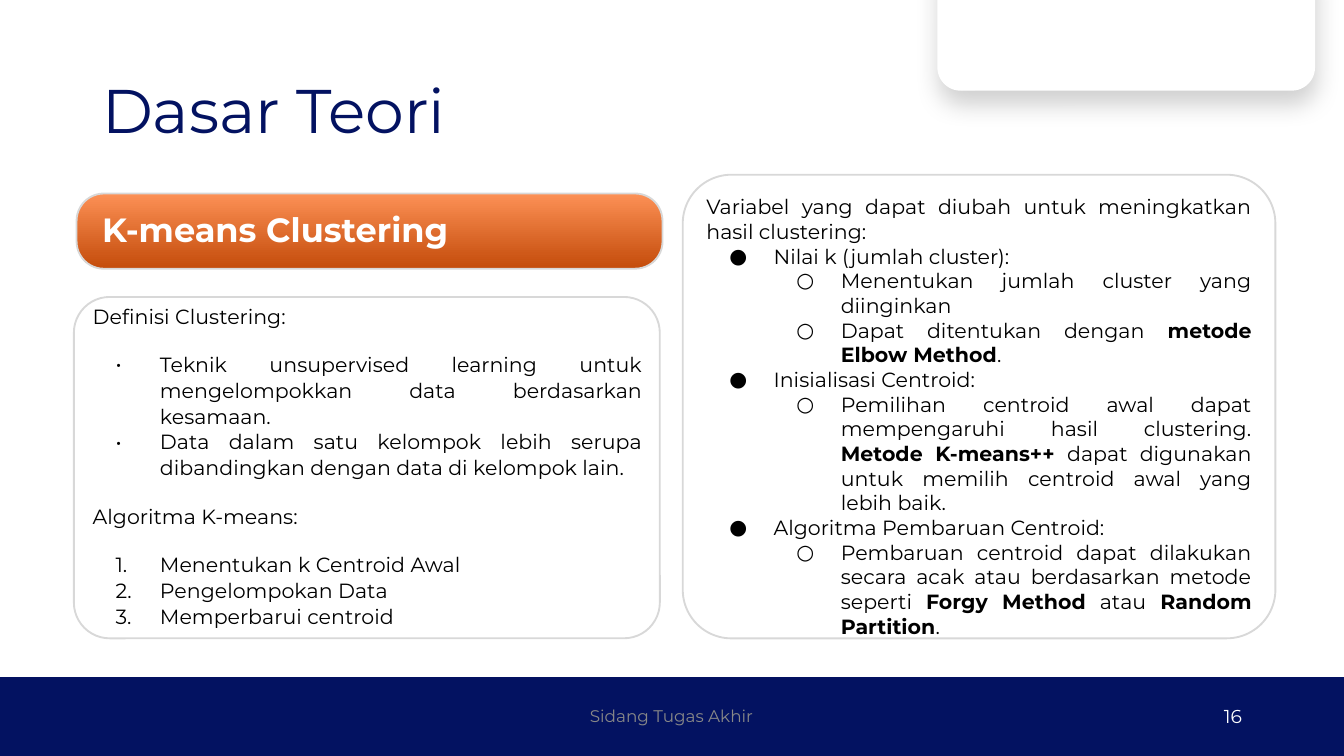
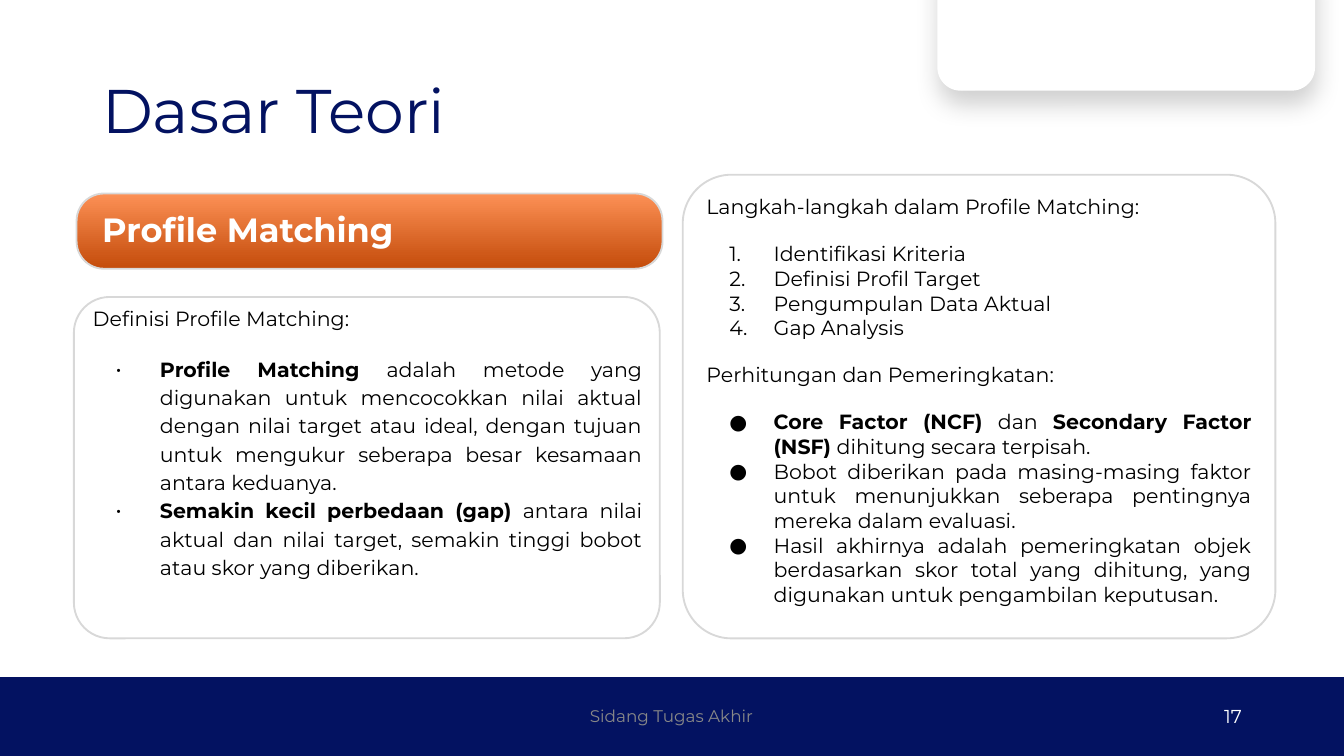
from lxml import etree
from pptx import Presentation
from pptx.dml.color import RGBColor
from pptx.enum import shapes, text
from pptx.oxml import ns
from pptx.util import Inches, Pt

NAVY = RGBColor(0x03, 0x12, 0x61)
WHITE = RGBColor(0xFF, 0xFF, 0xFF)
BLACK = RGBColor(0, 0, 0)
GREY = RGBColor(0x88, 0x88, 0x88)
OUTLINE = RGBColor(0xD8, 0xD8, 0xD8)
ORANGE_TOP = RGBColor(0xFC, 0x90, 0x55)
ORANGE_BOTTOM = RGBColor(0xC4, 0x4C, 0x0B)
FONT = "Montserrat"
ALIGN = text.PP_ALIGN
MIDDLE = text.MSO_ANCHOR.MIDDLE
ROUNDED = shapes.MSO_SHAPE.ROUNDED_RECTANGLE

# Each content line is (kind, text, space before); **...** marks bold
PLAIN, DOT, BIG_DOT, RING, NUMBER = "", "•", "●", "○", "1."

CLUSTERING_DEFINITION = [
    (PLAIN, "Definisi Clustering:", 0),
    (DOT, "Teknik unsupervised learning untuk mengelompokkan data berdasarkan kesamaan.", 12),
    (DOT, "Data dalam satu kelompok lebih serupa dibandingkan dengan data di kelompok lain.", 0),
    (PLAIN, "Algoritma K-means: ", 12),
    (NUMBER, "Menentukan k Centroid Awal", 12),
    (NUMBER, "Pengelompokan Data", 0),
    (NUMBER, "Memperbarui centroid", 0),
]
CLUSTERING_VARIABLES = [
    (PLAIN, "Variabel yang dapat diubah untuk meningkatkan hasil clustering:", 0),
    (BIG_DOT, "Nilai k (jumlah cluster):", 0),
    (RING, "Menentukan jumlah cluster yang diinginkan", 0),
    (RING, "Dapat ditentukan dengan **metode Elbow Method**.", 0),
    (BIG_DOT, "Inisialisasi Centroid:", 0),
    (RING, "Pemilihan centroid awal dapat mempengaruhi hasil clustering. "
           "**Metode K-means++** dapat digunakan untuk memilih centroid awal yang lebih baik.", 0),
    (BIG_DOT, "Algoritma Pembaruan Centroid:", 0),
    (RING, "Pembaruan centroid dapat dilakukan secara acak atau berdasarkan metode "
           "seperti **Forgy Method** atau **Random Partition**.", 0),
]
MATCHING_DEFINITION = [
    (PLAIN, "Definisi Profile Matching:", 0),
    (DOT, "**Profile Matching** adalah metode yang digunakan untuk mencocokkan nilai aktual "
          "dengan nilai target atau ideal, dengan tujuan untuk mengukur seberapa besar "
          "kesamaan antara keduanya.", 12),
    (DOT, "**Semakin kecil perbedaan (gap)** antara nilai aktual dan nilai target, "
          "semakin tinggi bobot atau skor yang diberikan.", 0),
]
MATCHING_STEPS = [
    (PLAIN, "Langkah-langkah dalam Profile Matching:", 0),
    (NUMBER, "Identifikasi Kriteria", 12),
    (NUMBER, "Definisi Profil Target", 0),
    (NUMBER, "Pengumpulan Data Aktual", 0),
    (NUMBER, "Gap Analysis", 0),
    (PLAIN, "Perhitungan dan Pemeringkatan:", 12),
    (BIG_DOT, "**Core Factor (NCF)** dan **Secondary Factor (NSF)** dihitung secara terpisah.", 12),
    (BIG_DOT, "Bobot diberikan pada masing-masing faktor untuk menunjukkan seberapa "
              "pentingnya mereka dalam evaluasi.", 0),
    (BIG_DOT, "Hasil akhirnya adalah pemeringkatan objek berdasarkan skor total yang "
              "dihitung, yang digunakan untuk pengambilan keputusan.", 0),
]


def add_box(slide, kind, place, line_color, line_width, radius=None):
    shape = slide.shapes.add_shape(kind, *map(Inches, place))
    shape.shadow.inherit = False
    shape.fill.solid()
    shape.fill.fore_color.rgb = WHITE
    shape.line.color.rgb = line_color
    shape.line.width = Pt(line_width)
    if radius is not None:
        shape.adjustments[0] = radius
    return shape


def add_panel(slide, place, radius=0.105):
    return add_box(slide, ROUNDED, place, OUTLINE, 1, radius)


def add_drop_shadow(shape):
    effects = shape.element.spPr.find(ns.qn("a:effectLst"))
    shadow = etree.SubElement(effects, ns.qn("a:outerShdw"), blurRad=str(Pt(13.5)),
                              dist=str(Pt(7.5)), dir=str(84 * 60000),
                              algn="tl", rotWithShape="0")
    color = etree.SubElement(shadow, ns.qn("a:srgbClr"), val=str(BLACK))
    etree.SubElement(color, ns.qn("a:alpha"), val="19000")


def prepare_frame(frame, anchor):
    frame.word_wrap = True
    frame.vertical_anchor = anchor
    frame.margin_left = frame.margin_right = Inches(0.07)
    frame.margin_top = frame.margin_bottom = Inches(0.04)


def set_font(paragraph, size, color):
    paragraph.font.name = FONT
    paragraph.font.size = Pt(size)
    paragraph.font.color.rgb = color


def add_label(slide, place, words, size, color, align=ALIGN.LEFT, spacing=None, bold=False):
    frame = slide.shapes.add_textbox(*map(Inches, place)).text_frame
    prepare_frame(frame, MIDDLE)
    paragraph = frame.paragraphs[0]
    paragraph.text = words
    paragraph.alignment = align
    paragraph.line_spacing = spacing
    set_font(paragraph, size, color)
    paragraph.font.bold = bold


def add_bullet(paragraph, kind):
    properties = paragraph._p.get_or_add_pPr()
    properties.set("marL", str(Inches(1 if kind == RING else 0.5)))
    properties.set("indent", str(Inches(-0.33)))
    color = etree.SubElement(properties, ns.qn("a:buClr"))
    etree.SubElement(color, ns.qn("a:srgbClr"), val=str(BLACK))
    etree.SubElement(properties, ns.qn("a:buSzPts"), val="1100")
    etree.SubElement(properties, ns.qn("a:buFont"), typeface=FONT)
    if kind == NUMBER:
        etree.SubElement(properties, ns.qn("a:buAutoNum"), type="arabicPeriod")
    else:
        etree.SubElement(properties, ns.qn("a:buChar"), char=kind)


def fill_text(frame, lines, spacing=None):
    prepare_frame(frame, text.MSO_ANCHOR.TOP)
    for index, (kind, words, space_before) in enumerate(lines):
        paragraph = frame.add_paragraph() if index else frame.paragraphs[0]
        paragraph.alignment = ALIGN.JUSTIFY
        paragraph.level = 1 if kind == RING else 0
        paragraph.line_spacing = spacing
        paragraph.space_before = Pt(space_before)
        if kind:
            add_bullet(paragraph, kind)
        set_font(paragraph, 11, BLACK)
        for part, piece in enumerate(words.split("**")):
            if piece:
                run = paragraph.add_run()
                run.text = piece
                if part % 2:
                    run.font.bold = True


def add_frame(slide):
    """Footer band and the tab at the top right."""
    band = add_box(slide, shapes.MSO_SHAPE.RECTANGLE, (-0.28, 5.04, 10.61, 0.8), NAVY, 0.75)
    band.fill.fore_color.rgb = NAVY
    tab = add_box(slide, ROUNDED, (6.98, -0.34, 2.8, 1.01), WHITE, 0.75, 0.167)
    add_drop_shadow(tab)


def add_heading_bar(slide):
    bar = add_panel(slide, (0.57, 1.44, 4.36, 0.56), 0.363)
    bar.fill.gradient()
    bar.fill.gradient_angle = 270
    for stop, color, position in zip(bar.fill.gradient_stops,
                                     (ORANGE_TOP, ORANGE_BOTTOM), (0, 1)):
        stop.color.rgb = color
        stop.position = position


def add_theory_slide(presentation, number, heading, left_lines, left_spacing, right_lines):
    slide = presentation.slides.add_slide(presentation.slide_layouts[6])
    add_frame(slide)

    # Panels and heading bar
    right_panel = add_panel(slide, (5.08, 1.3, 4.41, 3.45))
    fill_text(right_panel.text_frame, right_lines)
    add_panel(slide, (0.55, 2.21, 4.36, 2.54))
    add_heading_bar(slide)

    # Title, heading and left text
    add_label(slide, (0.69, 0.3, 8.62, 1.09), "Dasar Teori", 33, NAVY, spacing=0.9)
    add_label(slide, (0.69, 1.38, 4.23, 0.68), heading, 18, WHITE, spacing=0.9, bold=True)
    left_text = slide.shapes.add_textbox(*map(Inches, (0.62, 2.21, 4.23, 2.54)))
    fill_text(left_text.text_frame, left_lines, left_spacing)

    # Footer
    add_label(slide, (7.06, 5.18, 2.25, 0.3), str(number), 10, WHITE, ALIGN.RIGHT)
    add_label(slide, (3.02, 5.18, 3.95, 0.3), "Sidang Tugas Akhir", 9, GREY, ALIGN.CENTER)


def main():
    presentation = Presentation()
    # Widescreen, 16:9
    presentation.slide_width = Inches(10)
    presentation.slide_height = Inches(10) * 9 // 16
    add_theory_slide(presentation, 16, "K-means Clustering",
                     CLUSTERING_DEFINITION, 1.05, CLUSTERING_VARIABLES)
    add_theory_slide(presentation, 17, "Profile Matching",
                     MATCHING_DEFINITION, 1.15, MATCHING_STEPS)
    presentation.save("out.pptx")


if __name__ == "__main__":
    main()
